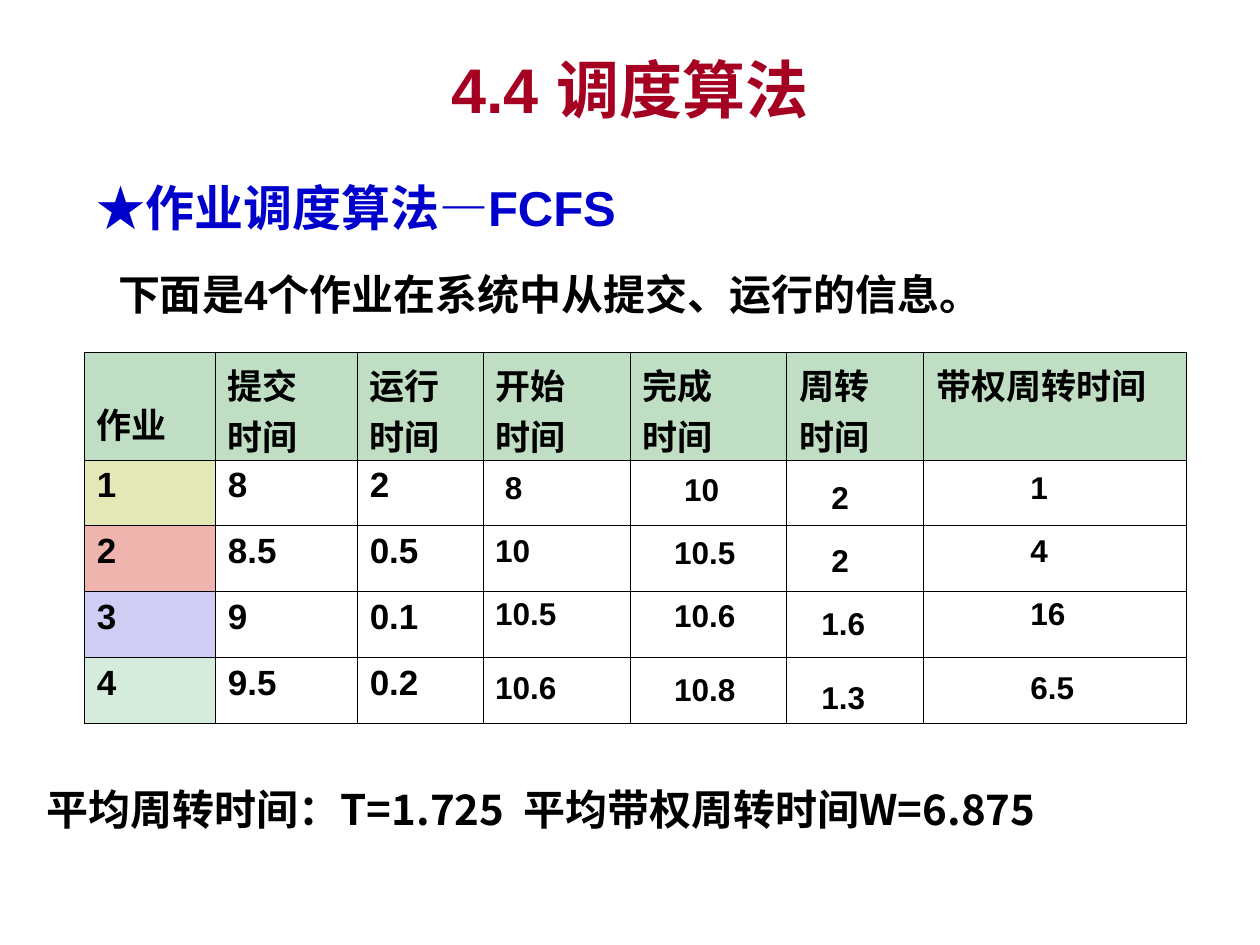
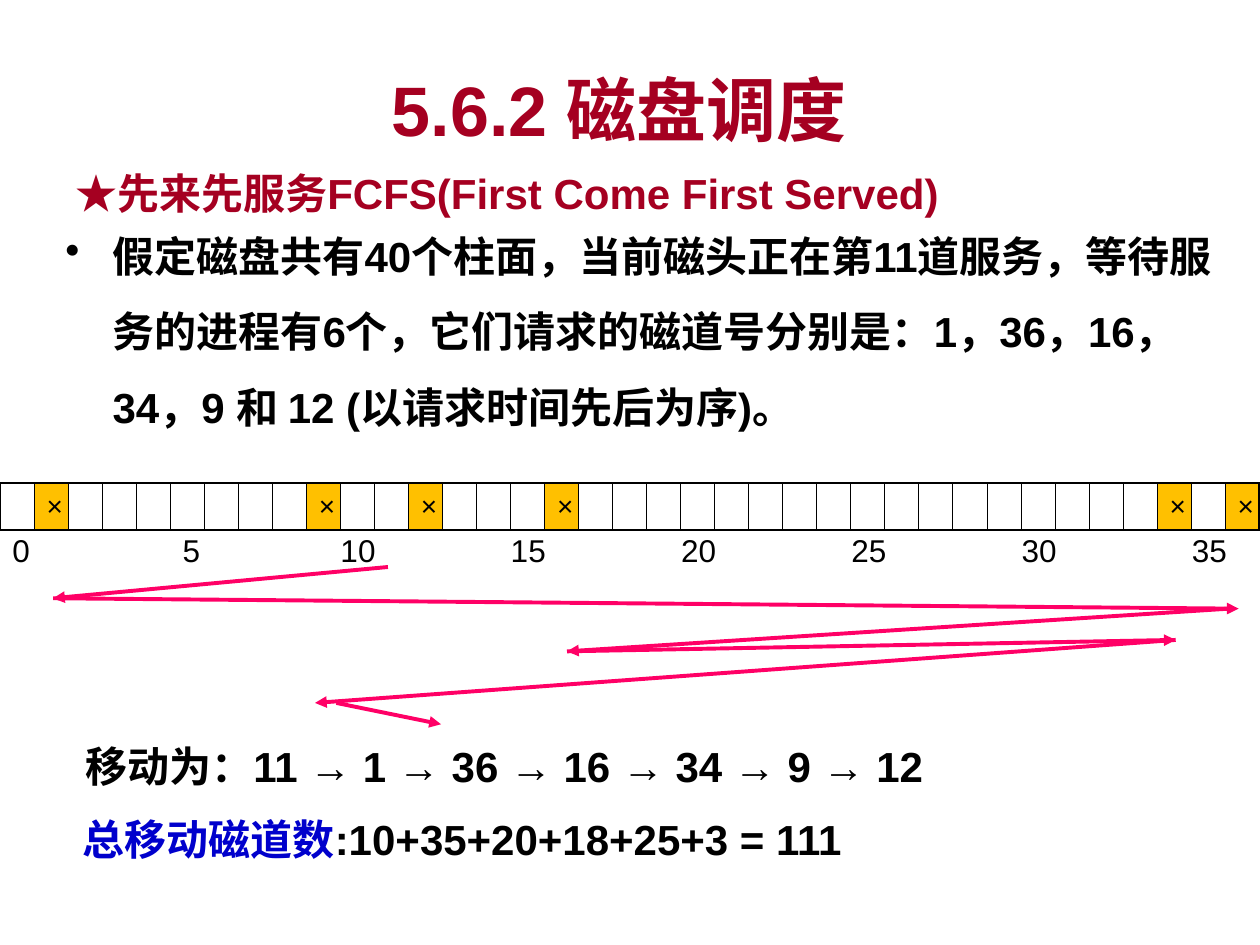
import itertools

import pptx
import pptx.dml.color
import pptx.enum.shapes
import pptx.enum.text
import pptx.oxml
import pptx.oxml.ns
import pptx.util

Cm, Pt = pptx.util.Cm, pptx.util.Pt
Anchor = pptx.enum.text.MSO_ANCHOR
Align = pptx.enum.text.PP_ALIGN
qn = pptx.oxml.ns.qn

COLORS = {"title": "A50021", "accent": "0000CC", "text": "000000", "border": "000000",
          "header": "C0DEC4", "request": "FFC000", "arrow": "FF0066"}
LATIN, CJK = "Arial", "Noto Sans CJK SC"
WIDTH, HEIGHT = 25.4, 19.05

# Job scheduling slide
JOB_TITLE = "4.4 调度算法"
JOB_HEADING = "★作业调度算法—FCFS"
JOB_INTRO = "下面是4个作业在系统中从提交、运行的信息。"
JOB_AVERAGES = "平均周转时间：T=1.725  平均带权周转时间W=6.875"
JOB_HEADER = ["作业", "提交\n时间", "运行时间", "开始\n时间", "完成\n时间", "周转\n时间", "带权周转时间"]
JOB_ROWS = [("1", "8", "2"), ("2", "8.5", "0.5"), ("3", "9", "0.1"), ("4", "9.5", "0.2")]
JOB_FILLS = ["E4E8B6", "F0B4AE", "CFCDF3", "D5EBDB"]
JOB_COLUMNS = [2.64, 2.86, 2.54, 2.96, 3.16, 2.76, 5.3]
JOB_HEADER_HEIGHT, JOB_ROW_HEIGHT = 2.16, 1.33
# Worked-out times: left edge, drop below the row line, width, values from job 1 to 4
RESULT_TOPS = [9.32, 10.59, 11.86, 13.34]
RESULTS = [
    (9.73, 0, 2.2, ["8", "10", "10.5", "10.6"]),
    (13.34, 0.04, 2.0, ["10", "10.5", "10.6", "10.8"]),
    (16.31, 0.2, 1.9, ["2", "2", "1.6", "1.3"]),
    (20.52, 0, 2.0, ["1", "4", "16", "6.5"]),
]
NUDGE = 0.2
NUDGED = {(0, 0), (1, 0), (2, 0), (2, 1)}  # (result column, job)

# Disk scheduling slide
DISK_TITLE = "5.6.2 磁盘调度"
DISK_HEADING = "★先来先服务FCFS(First Come First Served)"
DISK_PROBLEM = ("假定磁盘共有40个柱面，当前磁头正在第11道服务，等待服务的进程有6个，"
                "它们请求的磁道号分别是：1，36，16，34，9 和 12 (以请求时间先后为序)。")
TRACK_COUNT, TRACK_STEP = 37, 5
HEAD_START = 11
REQUESTS = [1, 36, 16, 34, 9, 12]
HEAD_MOVES = [
    ((7.82, 11.43), (1.07, 12.06)),
    ((1.07, 12.06), (24.97, 12.27)),
    ((24.77, 12.27), (11.43, 13.13)),
    ((11.43, 13.13), (23.7, 12.9)),
    ((23.7, 12.9), (6.35, 14.17)),
    ((6.78, 14.17), (8.89, 14.6)),
]


def rgb(name):
    return pptx.dml.color.RGBColor.from_string(COLORS.get(name, name))


def write(frame, text, size=24, color="text", bold=True, latin=LATIN, align=None,
          anchor=None, spacing=None, bullet=None):
    """Fill a text frame; text is a string or a list of (string, colour) spans."""
    frame.word_wrap = True
    if anchor is not None:
        frame.vertical_anchor = anchor
    spans = [(text, color)] if isinstance(text, str) else text
    para = frame.paragraphs[0]
    for content, tint in spans:
        for index, line in enumerate(content.split("\n")):
            if index:
                para = frame.add_paragraph()
            para.alignment = align
            if spacing:
                para.line_spacing = spacing
            span = para.add_run()
            span.text = line
            span.font.size, span.font.bold, span.font.name = Pt(size), bold, latin
            span.font.color.rgb = rgb(tint)
            span.font._element.get_or_add_latin().addnext(
                pptx.oxml.parse_xml(
                    '<a:ea xmlns:a="http://schemas.openxmlformats.org/drawingml/2006/main" '
                    f'typeface="{CJK}"/>'))
    if bullet:
        properties = para._p.get_or_add_pPr()
        properties.set("marL", str(Cm(0.95)))
        properties.set("indent", str(-Cm(0.95)))
        add_child(properties, "a:buChar", char=bullet)
    return para


def add_child(parent, tag, **attributes):
    child = parent.makeelement(qn(tag), attributes)
    parent.append(child)
    return child


def add_text(page, left, top, width, height, text, **style):
    box = page.shapes.add_textbox(Cm(left), Cm(top), Cm(width), Cm(height))
    return write(box.text_frame, text, **style)


def add_page(deck, title, place, size):
    page = deck.slides.add_slide(deck.slide_layouts[5])
    box = page.shapes.title
    box.left, box.top, box.width, box.height = map(Cm, place)
    write(box.text_frame, title, size=size, color="title", align=Align.CENTER,
          anchor=Anchor.MIDDLE)
    box.text_frame.auto_size = pptx.enum.text.MSO_AUTO_SIZE.NONE
    return page


def add_grid(page, left, top, columns, rows):
    """Add a table without the banded style, with the given column and row sizes."""
    frame = page.shapes.add_table(len(rows), len(columns), Cm(left), Cm(top),
                                  Cm(sum(columns)), Cm(sum(rows)))
    table = frame.table
    table.first_row = table.horz_banding = False
    for column, width in zip(table.columns, columns):
        column.width = Cm(width)
    for row, height in zip(table.rows, rows):
        row.height = Cm(height)
    return table


def format_cell(cell, fill=None, **borders):
    """Border widths in points are given by side: L, R, T, B."""
    properties = cell._tc.get_or_add_tcPr()
    for side in "LRTB":
        line = add_child(properties, f"a:ln{side}", w=str(Pt(borders.get(side, 0.45))))
        add_child(add_child(line, "a:solidFill"), "a:srgbClr", val=COLORS["border"])
    if fill:
        cell.fill.solid()
        cell.fill.fore_color.rgb = rgb(fill)
    else:
        cell.fill.background()


def add_arrow(page, start, end):
    arrow = page.shapes.add_connector(pptx.enum.shapes.MSO_CONNECTOR.STRAIGHT,
                                      *map(Cm, start + end))
    arrow.line.color.rgb = rgb("arrow")
    arrow.line.width = Pt(2.25)
    add_child(arrow.line._get_or_add_ln(), "a:tailEnd", type="triangle")
    add_child(arrow._element.spPr, "a:effectLst")


def build_job_page(deck):
    page = add_page(deck, JOB_TITLE, (1.27, 0.2, 22.86, 3.18), 36)
    add_text(page, 1.7, 3.45, 14.8, 1.45, JOB_HEADING, size=28, color="accent")
    add_text(page, 2.13, 5.28, 18.31, 1.27, JOB_INTRO, anchor=Anchor.MIDDLE)

    heights = [JOB_HEADER_HEIGHT] + [JOB_ROW_HEIGHT] * len(JOB_ROWS)
    table = add_grid(page, 1.7, 7.11, JOB_COLUMNS, heights)
    fills = ["header"] + JOB_FILLS
    for row, texts in enumerate([JOB_HEADER] + JOB_ROWS):
        for column in range(len(JOB_COLUMNS)):
            cell = table.cell(row, column)
            cell.margin_bottom = 0
            format_cell(cell, fills[row] if row == 0 or column == 0 else None)
            if column < len(texts):
                write(cell.text_frame, texts[column], size=20)
    table.cell(0, 0).margin_top = Cm(0.9)

    add_text(page, 0.69, 15.67, 20.88, 1.27, JOB_AVERAGES, latin=CJK, anchor=Anchor.MIDDLE)
    for column, (left, drop, width, values) in enumerate(RESULTS):
        for job, value in enumerate(values):
            nudge = NUDGE if (column, job) in NUDGED else 0
            add_text(page, left + nudge, RESULT_TOPS[job] + drop, width, 1.02, value, size=18)


def build_disk_page(deck):
    page = add_page(deck, DISK_TITLE, (1.27, 0.76, 22.43, 2.84), 40)
    add_text(page, 1.07, 4.01, 23.7, 13.97, DISK_PROBLEM, spacing=1.5, bullet="•")

    track_width = WIDTH / TRACK_COUNT
    table = add_grid(page, 0, 9.74, [track_width] * TRACK_COUNT, [0.95])
    for track in range(TRACK_COUNT):
        cell = table.cell(0, track)
        cell.margin_top = cell.margin_bottom = 0
        cell.vertical_anchor = Anchor.MIDDLE
        format_cell(cell, "request" if track in REQUESTS else None, T=1.08, B=1.08,
                    L=1.08 if track == 0 else 0.45,
                    R=1.08 if track == TRACK_COUNT - 1 else 0.45)
        if track in REQUESTS:
            write(cell.text_frame, "×", size=16, bold=False)

    labels = range(0, TRACK_COUNT, TRACK_STEP)
    scale = add_text(page, 0, 10.59, WIDTH, 1.78, "\t".join(map(str, labels)), size=18,
                     bold=False)
    stops = add_child(scale._p.get_or_add_pPr(), "a:tabLst")
    for label in labels[1:]:
        shift = 0.25 if label >= 10 else 0
        add_child(stops, "a:tab", pos=str(Cm(label * track_width - shift)), algn="l")

    for start, end in HEAD_MOVES:
        add_arrow(page, start, end)

    visits = [HEAD_START] + REQUESTS
    distances = [abs(b - a) for a, b in itertools.pairwise(visits)]
    add_text(page, 1.47, 14.6, 22.86, 1.47, "移动为：" + " → ".join(map(str, visits)), spacing=1.2)
    total = f":{'+'.join(map(str, distances))} = {sum(distances)}"
    add_text(page, 1.42, 16.08, 16.08, 1.47, [("总移动磁道数", "accent"), (total, "text")],
             spacing=1.2)
    add_text(page, 1.27, 2.74, 22.66, 15.19, DISK_HEADING, color="title", spacing=1.5)


def main():
    deck = pptx.Presentation()
    deck.slide_width, deck.slide_height = Cm(WIDTH), Cm(HEIGHT)
    build_job_page(deck)
    build_disk_page(deck)
    deck.save("out.pptx")


if __name__ == "__main__":
    main()
